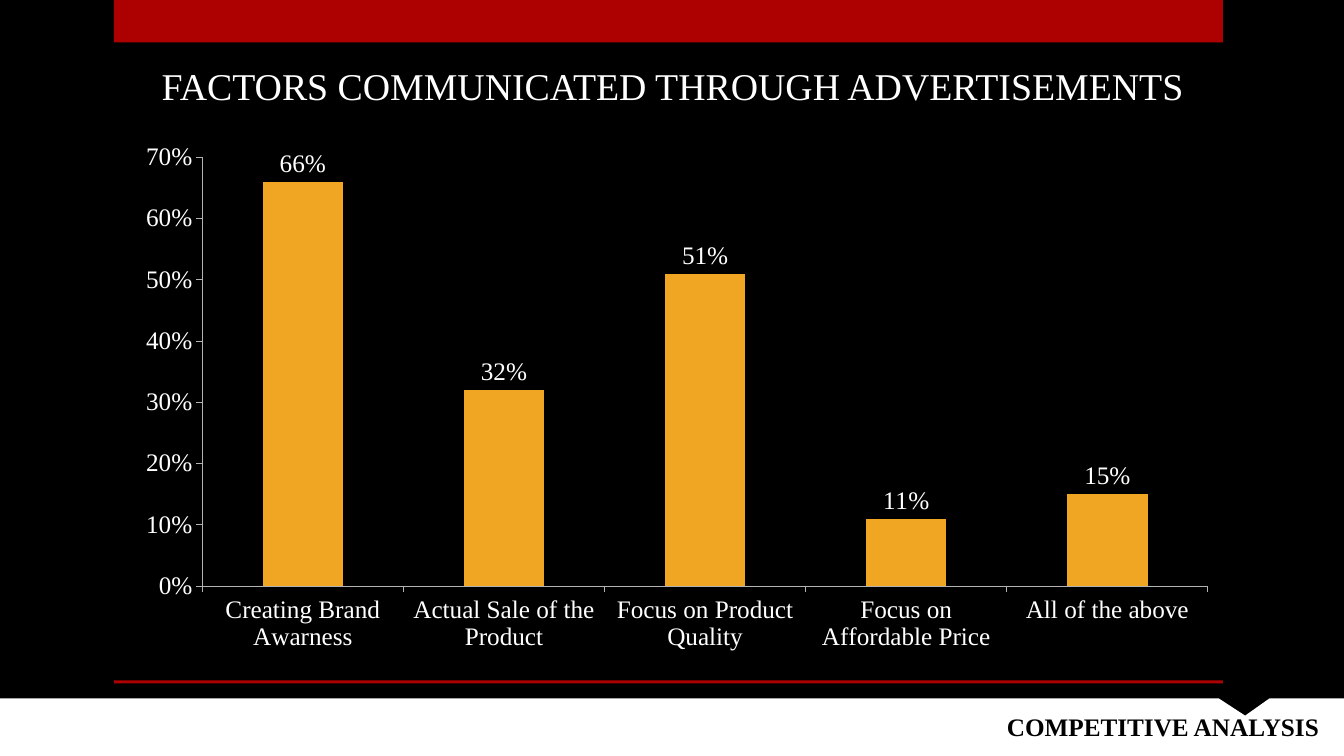
from dataclasses import dataclass

from lxml import etree
from pptx import Presentation
from pptx.chart.data import CategoryChartData
from pptx.dml.color import RGBColor
from pptx.enum.chart import XL_CHART_TYPE, XL_LABEL_POSITION, XL_TICK_MARK
from pptx.enum.shapes import MSO_SHAPE
from pptx.enum.text import MSO_ANCHOR, MSO_AUTO_SIZE, PP_ALIGN
from pptx.util import Inches, Pt

RECT = MSO_SHAPE.RECTANGLE
COLUMNS = XL_CHART_TYPE.COLUMN_CLUSTERED
OUTSIDE_END = XL_LABEL_POSITION.OUTSIDE_END
TICK_OUT = XL_TICK_MARK.OUTSIDE
BOTTOM = MSO_ANCHOR.BOTTOM
FIT_SHAPE = MSO_AUTO_SIZE.SHAPE_TO_FIT_TEXT
CENTER, RIGHT = PP_ALIGN.CENTER, PP_ALIGN.RIGHT

SLIDE_W, SLIDE_H = 13.33, 7.5
BAND_TOP = 6.93
FACTORS = {
    "Creating Brand Awarness": 0.66,
    "Actual Sale of the Product": 0.32,
    "Focus on Product Quality": 0.51,
    "Focus on Affordable Price": 0.11,
    "All of the above": 0.15,
}


@dataclass(frozen=True)
class Theme:
    font: str = "Times New Roman"
    background: RGBColor = RGBColor(0x00, 0x00, 0x00)
    light: RGBColor = RGBColor(0xFF, 0xFF, 0xFF)
    dark: RGBColor = RGBColor(0x00, 0x00, 0x00)
    accent: RGBColor = RGBColor(0xAD, 0x01, 0x01)
    column: RGBColor = RGBColor(0xF0, 0xA6, 0x22)
    axis: RGBColor = RGBColor(0xB3, 0xB3, 0xB3)
    title_size: Pt = Pt(27)
    text_size: Pt = Pt(18)


class SlideBuilder:
    def __init__(self, slide, theme):
        self.s = slide
        self.theme = theme
        fill = slide.background.fill
        fill.solid()
        fill.fore_color.rgb = theme.background

    def style_font(self, font, size, color, bold=False):
        font.name = self.theme.font
        font.size = size
        font.bold = bold
        font.color.rgb = color

    def paint(self, sp, color):
        sp.shadow.inherit = False
        sp.fill.solid()
        sp.fill.fore_color.rgb = color
        sp.line.fill.background()

    def bar(self, x, y, w, h):
        sp = self.s.shapes.add_shape(RECT, Inches(x), Inches(y), Inches(w), Inches(h))
        self.paint(sp, self.theme.accent)

    def polygon(self, points, color):
        corners = [(Inches(x), Inches(y)) for x, y in points]
        builder = self.s.shapes.build_freeform(*corners[0], scale=1.0)
        builder.add_line_segments(corners[1:], close=True)
        self.paint(builder.convert_to_shape(), color)

    def title(self, text, x, y, w, h):
        sp = self.s.shapes.title
        sp.left, sp.top, sp.width, sp.height = map(Inches, (x, y, w, h))
        tf = sp.text_frame
        tf.text = text
        tf.vertical_anchor = BOTTOM
        p = tf.paragraphs[0]
        p.alignment = CENTER
        self.style_font(p.font, self.theme.title_size, self.theme.light)

    def caption(self, text, x, y, w, h):
        sp = self.s.shapes.add_textbox(Inches(x), Inches(y), Inches(w), Inches(h))
        tf = sp.text_frame
        tf.word_wrap = True
        tf.auto_size = FIT_SHAPE
        p = tf.paragraphs[0]
        p.text = text
        p.alignment = RIGHT
        self.style_font(p.font, self.theme.text_size, self.theme.dark, bold=True)

    def column_chart(self, values, x, y, w, h):
        data = CategoryChartData(number_format="0%")
        data.categories = list(values)
        data.add_series("Series 1", list(values.values()))
        frame = self.s.shapes.add_chart(
            COLUMNS, Inches(x), Inches(y), Inches(w), Inches(h), data)
        chart = frame.chart
        chart.has_legend = False
        chart.has_title = False
        self.style_font(chart.font, self.theme.text_size, self.theme.light)

        for axis in (chart.category_axis, chart.value_axis):
            axis.has_major_gridlines = False
            axis.major_tick_mark = TICK_OUT
            axis.format.line.color.rgb = self.theme.axis
            axis.format.line.width = Pt(0.75)
        value_axis = chart.value_axis
        value_axis.minimum_scale = 0
        value_axis.maximum_scale = 0.7
        value_axis.major_unit = 0.1
        value_axis.tick_labels.number_format = "0%"
        value_axis.tick_labels.number_format_is_linked = False

        plot = chart.plots[0]
        plot.gap_width = 150
        plot.vary_by_categories = False
        fill = plot.series[0].format.fill
        fill.solid()
        fill.fore_color.rgb = self.theme.column
        plot.has_data_labels = True
        labels = plot.data_labels
        labels.show_value = True
        labels.number_format = "0%"
        labels.number_format_is_linked = False
        labels.position = OUTSIDE_END
        self.style_font(labels.font, self.theme.text_size, self.theme.light)


def main():
    prs = Presentation()
    prs.slide_width, prs.slide_height = Inches(SLIDE_W), Inches(SLIDE_H)
    theme = Theme()
    slide = SlideBuilder(prs.slides.add_slide(prs.slide_layouts[5]), theme)

    slide.bar(1.13, 0, 11, 0.42)
    slide.bar(1.13, 6.75, 11, 0.03)
    notched_band = [
        (0, BAND_TOP), (12.09, BAND_TOP), (12.35, 7.1), (12.59, BAND_TOP),
        (SLIDE_W, BAND_TOP), (SLIDE_W, SLIDE_H), (0, SLIDE_H),
    ]
    slide.polygon(notched_band, theme.light)
    slide.title("FACTORS COMMUNICATED THROUGH ADVERTISEMENTS", 1.13, 0.15, 11.08, 0.97)
    slide.column_chart(FACTORS, 1.23, 1.32, 10.97, 5.24)
    slide.caption("COMPETITIVE ANALYSIS", 6.4, 7.01, 6.78, 0.4)
    prs.save("out.pptx")


if __name__ == "__main__":
    main()
